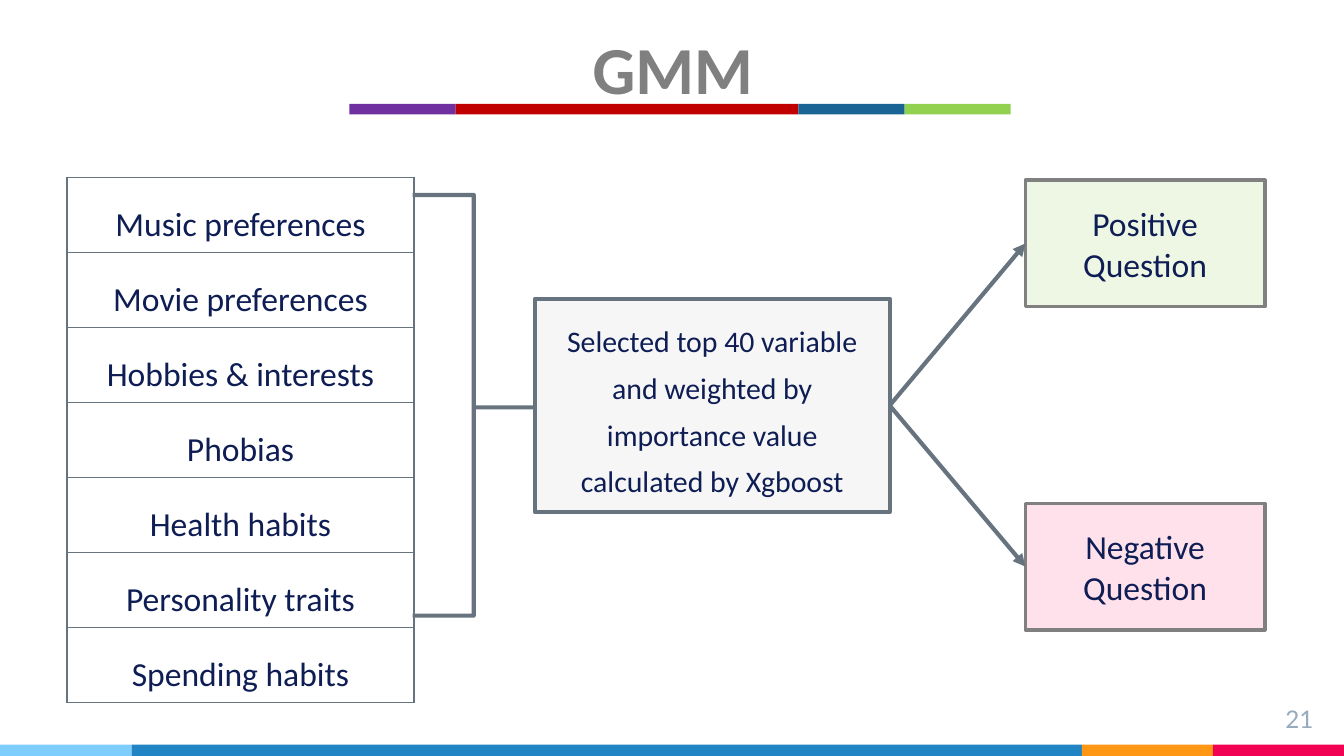
from lxml import etree
from pptx import Presentation
from pptx.dml.color import RGBColor
from pptx.enum.shapes import MSO_CONNECTOR, MSO_SHAPE
from pptx.enum.text import MSO_ANCHOR, MSO_AUTO_SIZE, PP_ALIGN
from pptx.oxml.ns import qn
from pptx.util import Inches, Pt

RECT, BRACE = MSO_SHAPE.RECTANGLE, MSO_SHAPE.RIGHT_BRACE
STRAIGHT = MSO_CONNECTOR.STRAIGHT
MIDDLE = MSO_ANCHOR.MIDDLE
CENTER, RIGHT = PP_ALIGN.CENTER, PP_ALIGN.RIGHT
FIXED = MSO_AUTO_SIZE.NONE

NAVY = RGBColor(0x0E, 0x1D, 0x54)
SLATE = RGBColor(0x67, 0x74, 0x80)
GRAY = RGBColor(0x80, 0x80, 0x80)
MIST = RGBColor(0x97, 0xAB, 0xBC)
WHITE = RGBColor(0xFF, 0xFF, 0xFF)
PALE = RGBColor(0xF2, 0xF2, 0xF2)
PINK = RGBColor(0xFF, 0xCA, 0xDC)
LIME = RGBColor(0x92, 0xD0, 0x50)
PURPLE = RGBColor(0x70, 0x30, 0xA0)
RED = RGBColor(0xC0, 0x00, 0x00)
TEAL = RGBColor(0x19, 0x64, 0x94)
SKY = RGBColor(0x7E, 0xCE, 0xFD)
BLUE = RGBColor(0x21, 0x85, 0xC5)
ORANGE = RGBColor(0xFF, 0x97, 0x15)
ROSE = RGBColor(0xF2, 0x02, 0x53)

# The grid has 100 columns and 100 rows over the whole slide.
WIDTH, HEIGHT = Inches(10), Inches(5.625)
COL, ROW = WIDTH / 100, HEIGHT / 100

TOPICS = ["Music preferences", "Movie preferences", "Hobbies & interests",
          "Phobias", "Health habits", "Personality traits", "Spending habits"]
METHOD = ["Selected top 40 variable", "and weighted by",
          "importance value calculated by Xgboost"]


def place(x, y, w, h):
    """Turn columns and rows of the grid into slide lengths."""
    return int(x * COL), int(y * ROW), int(w * COL), int(h * ROW)


def write(frame, lines, size, color=NAVY, align=CENTER, space=None,
          face="Calibri", bold=False):
    frame.word_wrap = True
    for i, line in enumerate(lines):
        para = frame.add_paragraph() if i else frame.paragraphs[0]
        para.text = line
        para.alignment = align
        para.line_spacing = space
        font = para.font
        font.name, font.size, font.bold = face, Pt(size), bold
        font.color.rgb = color


def pad(frame):
    frame.margin_left = frame.margin_right = Inches(0.1)
    frame.margin_top = frame.margin_bottom = Inches(0.1)


def add_title(slide, box, text):
    title = slide.shapes.title
    title.left, title.top, title.width, title.height = place(*box)
    frame = title.text_frame
    pad(frame)
    frame.auto_size = FIXED
    frame.vertical_anchor = MIDDLE
    write(frame, [text], 36, GRAY, space=1.5, bold=True)


def add_strip(slide, x, y, h, parts):
    """Lay coloured bars end to end; parts holds (width, colour)."""
    for w, color in parts:
        bar = slide.shapes.add_shape(RECT, *place(x, y, w, h))
        bar.shadow.inherit = False
        bar.fill.solid()
        bar.fill.fore_color.rgb = color
        bar.line.fill.background()
        x += w


def add_number(slide, box, text):
    frame = slide.shapes.add_textbox(*place(*box)).text_frame
    pad(frame)
    write(frame, [text], 13, MIST, RIGHT, face="Lato")


def edge_cell(cell):
    """Draw a thin line on all four sides of a cell."""
    props = cell._tc.get_or_add_tcPr()
    for i, side in enumerate(("a:lnL", "a:lnR", "a:lnT", "a:lnB")):
        line = etree.Element(qn(side), w=str(Pt(1)))
        fill = etree.SubElement(line, qn("a:solidFill"))
        etree.SubElement(fill, qn("a:srgbClr"), val=str(SLATE))
        props.insert(i, line)


def add_topics(slide, box, topics):
    table = slide.shapes.add_table(len(topics), 1, *place(*box)).table
    for i, topic in enumerate(topics):
        cell = table.cell(i, 0)
        cell.fill.solid()
        cell.fill.fore_color.rgb = WHITE
        cell.vertical_anchor = MIDDLE
        write(cell.text_frame, [topic], 18, space=1.5)
        edge_cell(cell)


def add_brace(slide, box):
    brace = slide.shapes.add_shape(BRACE, *place(*box))
    brace.shadow.inherit = False
    brace.adjustments[0], brace.adjustments[1] = 0, 0.505
    brace.fill.background()
    brace.line.color.rgb = SLATE
    brace.line.width = Pt(2.25)


def add_box(slide, box, lines, size, fill, alpha, edge, space=None):
    """Add a framed text box whose fill has alpha percent opacity."""
    shape = slide.shapes.add_shape(RECT, *place(*box))
    shape.shadow.inherit = False
    shape.fill.solid()
    shape.fill.fore_color.rgb = fill
    tint = shape._element.spPr.find(qn("a:solidFill"))[0]
    etree.SubElement(tint, qn("a:alpha"), val=str(alpha * 1000))
    shape.line.color.rgb = edge
    shape.line.width = Pt(2)
    shape.text_frame.vertical_anchor = MIDDLE
    write(shape.text_frame, lines, size, space=space)
    return shape


def add_arrow(slide, start, end):
    """Join the right side of start to the left side of end."""
    arrow = slide.shapes.add_connector(STRAIGHT, 0, 0, 0, 0)
    arrow.begin_connect(start, 3)
    arrow.end_connect(end, 1)
    arrow.line.color.rgb = SLATE
    arrow.line.width = Pt(2.25)
    etree.SubElement(arrow.line._get_or_add_ln(), qn("a:tailEnd"),
                     type="triangle")
    etree.SubElement(arrow._element.spPr, qn("a:effectLst"))


def add_flow(slide, x, y):
    """Lay the method box and its two outcomes from the given corner."""
    method = add_box(slide, (x, y + 15.65, 26.4, 28.27), METHOD, 16,
                     PALE, 64, SLATE, 1.3)
    outcomes = [("Positive", LIME, 15), ("Negative", PINK, 55)]
    for i, (word, fill, alpha) in enumerate(outcomes):
        box = (x + 36.5, y + i * 42.75, 17.8, 16.71)
        end = add_box(slide, box, [word, "Question"], 18, fill, alpha, GRAY)
        add_arrow(slide, method, end)


def main():
    deck = Presentation()
    deck.slide_width, deck.slide_height = WIDTH, HEIGHT
    slide = deck.slides.add_slide(deck.slide_layouts[5])
    add_strip(slide, 0, 98.5, 1.5,
              [(9.8, SKY), (70.7, BLUE), (9.75, ORANGE), (9.75, ROSE)])
    add_strip(slide, 26, 13.75, 1.4,
              [(7.9, PURPLE), (25.5, RED), (7.9, TEAL), (7.9, LIME)])
    add_number(slide, (92.7, 91.4, 6, 6), "21")
    add_title(slide, (3.7, -4, 92.7, 20.44), "GMM")
    add_topics(slide, (5, 23.5, 25.8, 69.44), TOPICS)
    add_brace(slide, (30.7, 25.8, 9.1, 55.64))
    add_flow(slide, 39.8, 23.85)
    deck.save("out.pptx")


if __name__ == "__main__":
    main()
